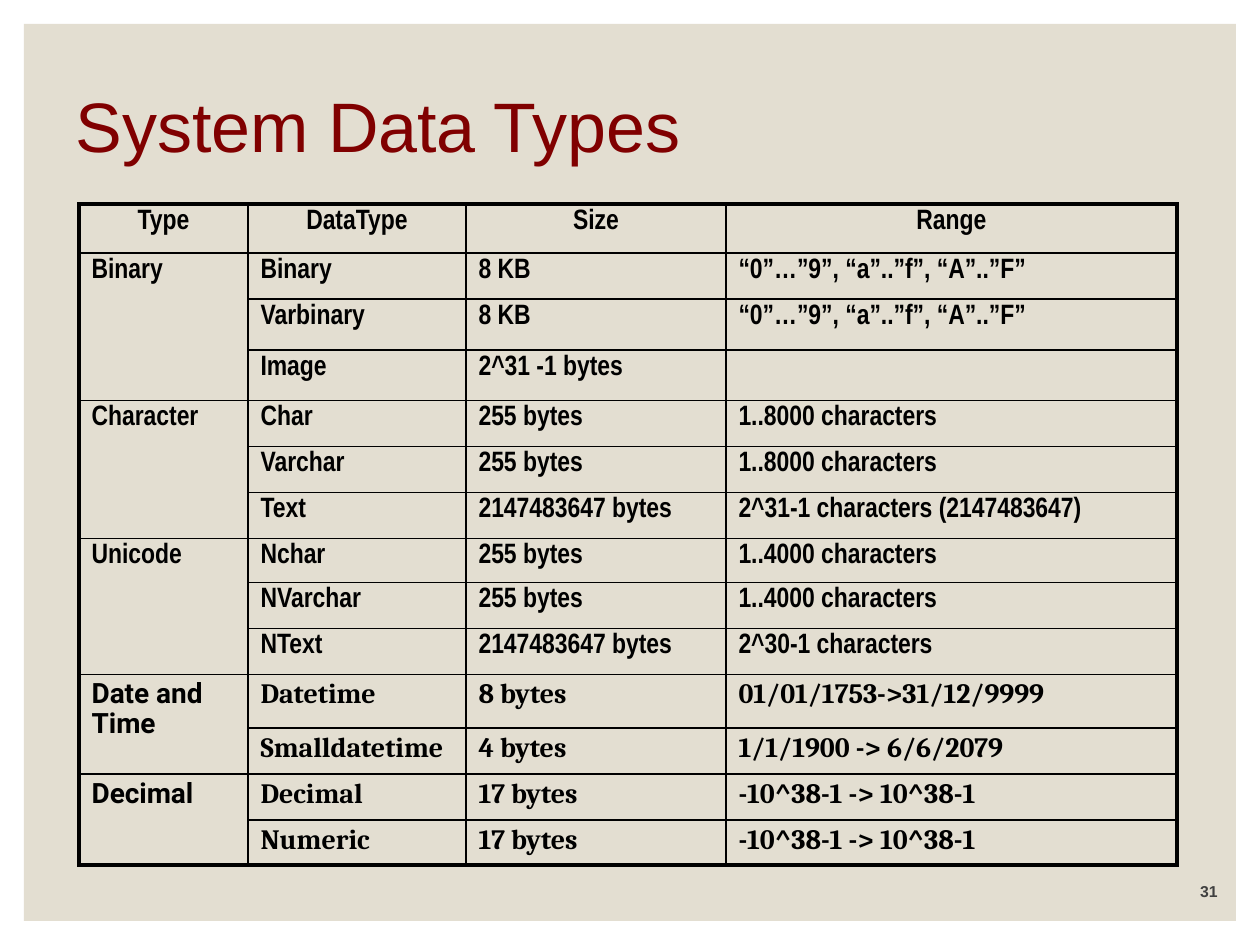
from lxml.etree import SubElement
from pptx import Presentation
from pptx.dml.color import RGBColor
from pptx.enum.shapes import MSO_SHAPE
from pptx.enum.text import MSO_ANCHOR, MSO_AUTO_SIZE, PP_ALIGN
from pptx.oxml import parse_xml
from pptx.oxml.ns import nsdecls, qn
from pptx.util import Emu, Pt

SCALE = 914400 / 126
HEADERS = ["Type", "DataType", "Size", "Range"]
HEX_RANGE = "“0”…”9”, “a”..”f”, “A”..”F”"
DECIMAL_RANGE = "-10^38-1 -> 10^38-1"
GROUPS = [
    ("Binary", "Arial Narrow", "Arial Narrow", [
        ("Binary", "8 KB", HEX_RANGE),
        ("Varbinary", "8 KB", HEX_RANGE),
        ("Image", "2^31 -1 bytes", ""),
    ]),
    ("Character", "Arial Narrow", "Arial Narrow", [
        ("Char", "255 bytes", "1..8000 characters"),
        ("Varchar", "255 bytes", "1..8000 characters"),
        ("Text", "2147483647 bytes", "2^31-1 characters (2147483647)"),
    ]),
    ("Unicode", "Arial Narrow", "Arial Narrow", [
        ("Nchar", "255 bytes", "1..4000 characters"),
        ("NVarchar", "255 bytes", "1..4000 characters"),
        ("NText", "2147483647 bytes", "2^30-1 characters"),
    ]),
    ("Date and Time", "Roboto", "Cambria", [
        ("Datetime", "8 bytes", "01/01/1753->31/12/9999"),
        ("Smalldatetime", "4 bytes", "1/1/1900 -> 6/6/2079"),
    ]),
    ("Decimal", "Roboto", "Cambria", [
        ("Decimal", "17 bytes", DECIMAL_RANGE),
        ("Numeric", "17 bytes", DECIMAL_RANGE),
    ]),
]
COLUMN_WIDTHS = [169, 218, 260, 451]
ROW_HEIGHTS = [49, 46, 51, 45, 46, 46, 46, 44, 46, 46, 54, 46, 46, 45]


def px(length):
    return Emu(round(length * SCALE))


def color(value):
    return RGBColor.from_string(value)


def write(frame, text, font="Arial", size=16, fill="000000", bold=False,
          align=PP_ALIGN.LEFT, spacing=0.9):
    paragraph = frame.paragraphs[0]
    paragraph.alignment = align
    paragraph.line_spacing = spacing
    run = paragraph.add_run()
    run.text = text
    run.font.name = font
    run.font.size = Pt(size)
    run.font.bold = bold
    run.font.color.rgb = color(fill)


class SlideBuilder:
    ink = "000000"
    panel_fill = "E3DED1"
    title_fill = "800000"
    number_fill = "404040"
    thin, thick = 1, 2.25

    def __init__(self, presentation):
        self.slide = presentation.slides.add_slide(presentation.slide_layouts[5])

    def panel(self, left, top, width, height):
        shape = self.slide.shapes.add_shape(
            MSO_SHAPE.RECTANGLE, px(left), px(top), px(width), px(height))
        shape.shadow.inherit = False
        shape.fill.solid()
        shape.fill.fore_color.rgb = color(self.panel_fill)
        shape.line.fill.background()
        self.slide.shapes.title.element.addprevious(shape.element)

    def title(self, text, left, top, width, height):
        shape = self.slide.shapes.title
        shape.left, shape.top = px(left), px(top)
        shape.width, shape.height = px(width), px(height)
        frame = shape.text_frame
        frame.auto_size = MSO_AUTO_SIZE.NONE
        frame.vertical_anchor = MSO_ANCHOR.MIDDLE
        write(frame, text, size=40, fill=self.title_fill)

    def page_number(self, text, left, top, width, height):
        shape = self.slide.shapes.add_textbox(px(left), px(top), px(width), px(height))
        frame = shape.text_frame
        frame.word_wrap = True
        frame.vertical_anchor = MSO_ANCHOR.BOTTOM
        write(frame, text, size=9, fill=self.number_fill, bold=True,
              align=PP_ALIGN.RIGHT, spacing=1.0)

    def borders(self, cell, outer_sides):
        cell.fill.background()
        properties = cell._tc.get_or_add_tcPr()
        for index, side in enumerate("LRTB"):
            width = Pt(self.thick if side in outer_sides else self.thin)
            line = parse_xml(f'<a:ln{side} {nsdecls("a")} w="{width}"/>')
            fill = SubElement(line, qn("a:solidFill"))
            SubElement(fill, qn("a:srgbClr"), val=self.ink)
            properties.insert(index, line)

    def table(self, left, top):
        shape = self.slide.shapes.add_table(
            len(ROW_HEIGHTS), len(COLUMN_WIDTHS), px(left), px(top),
            px(sum(COLUMN_WIDTHS)), px(sum(ROW_HEIGHTS)))
        table = shape.table
        table.first_row = table.horz_banding = False
        for column, width in zip(table.columns, COLUMN_WIDTHS):
            column.width = px(width)
        for row, height in zip(table.rows, ROW_HEIGHTS):
            row.height = px(height)
        rows = [(HEADERS, ["Arial Narrow"] * len(HEADERS))]
        for name, name_font, font, members in GROUPS:
            first = len(rows)
            for index, member in enumerate(members):
                rows.append(([name if index == 0 else "", *member],
                             [name_font, font, font, font]))
            table.cell(first, 0).merge(table.cell(len(rows) - 1, 0))
        for row, (texts, fonts) in enumerate(rows):
            for column, (text, font) in enumerate(zip(texts, fonts)):
                cell = table.cell(row, column)
                write(cell.text_frame, text, font=font, bold=True,
                      align=PP_ALIGN.CENTER if row == 0 else PP_ALIGN.LEFT)
                span = cell.span_height if cell.is_merge_origin else 1
                edges = {"L": column == 0, "R": column == len(HEADERS) - 1,
                         "T": row == 0, "B": row + span == len(rows)}
                self.borders(cell, [side for side in edges if edges[side]])


def main():
    presentation = Presentation()
    presentation.slide_width, presentation.slide_height = px(1260), px(945)
    builder = SlideBuilder(presentation)
    builder.panel(24, 24, 1212, 897)
    builder.title("System Data Types", 63, 35, 1134, 189)
    builder.page_number("31", 1079, 869, 151, 38)
    builder.table(79, 204)
    presentation.save("out.pptx")


if __name__ == "__main__":
    main()
